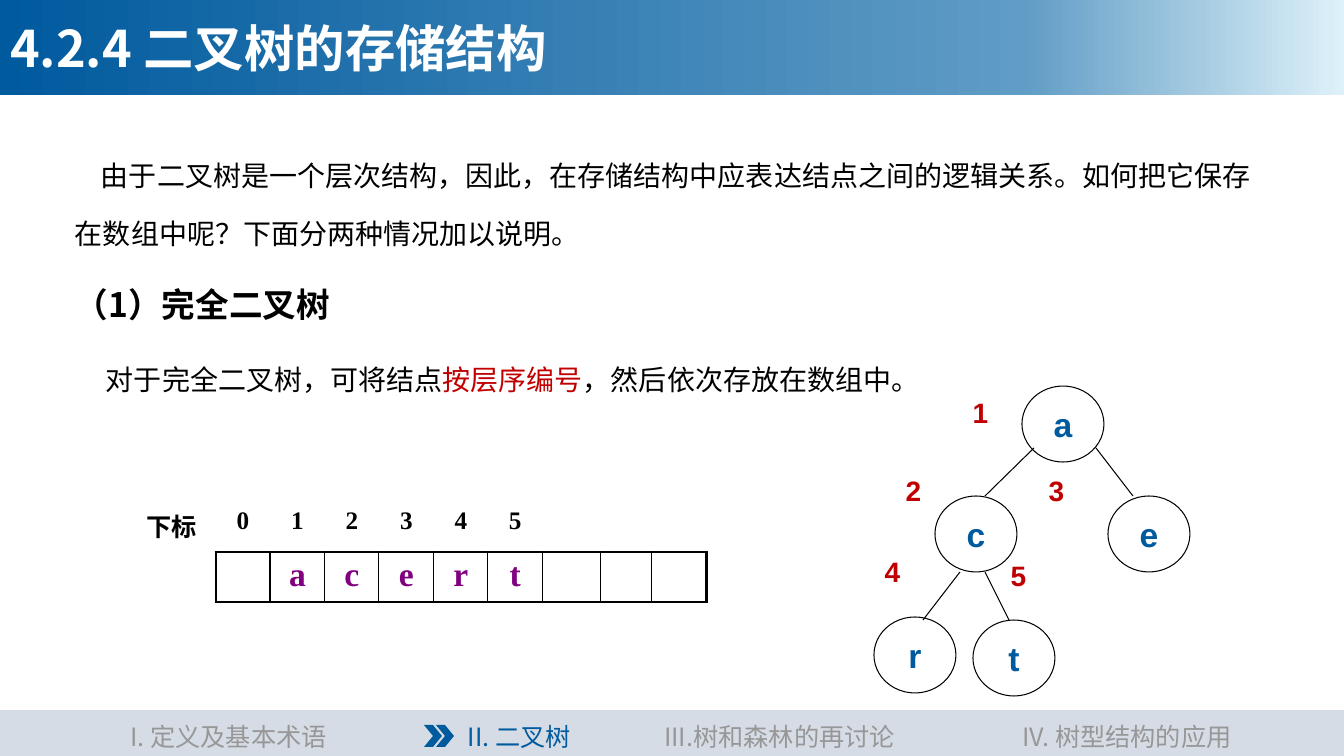
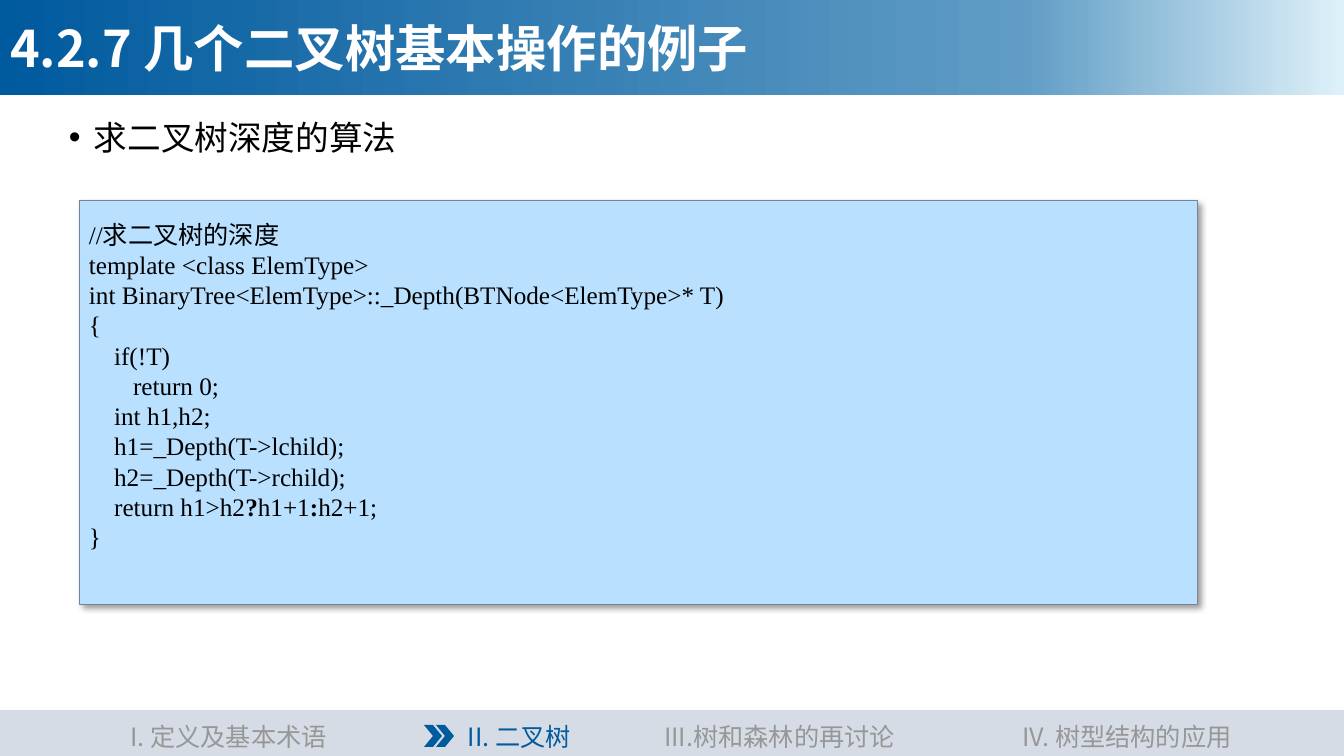
"""Build two lecture slides on binary tree storage and depth."""
from lxml import etree
from pptx import Presentation
from pptx import util as u
from pptx.dml import color
from pptx.enum import shapes, text
from pptx.oxml import ns

PX = 914400 / 100.8
WIDTH, HEIGHT = 1344, 756
SANS, SERIF, LATIN = "Noto Sans CJK SC", "Times New Roman", "Arial"
COLORS = {
    "blue": "005A9E", "mid": "609CC5", "pale": "DEF1F9", "white": "FFFFFF",
    "band": "D6DCE5", "grey": "979797", "black": "000000", "red": "C00000",
    "purple": "800080", "code": "B9E1FF", "edge": "778495",
}
SECTIONS = [
    ("I. 定义及基本术语", 43, 371),
    ("II. 二叉树", 407, 225),
    ("III.树和森林的再讨论", 633, 293),
    ("IV. 树型结构的应用", 1004, 246),
]
NODES = [
    ("a", 148, 0, 96, 9),
    ("c", 61, 110, 29, 87),
    ("e", 234, 110, 172, 87),
    ("r", 0, 231, 8, 168),
    ("t", 99, 234, 134, 172),
]
BRANCHES = [(160, 62, 111, 110), (222, 62, 259, 110),
            (86, 186, 49, 234), (111, 186, 135, 234)]
CODE = [
    "//求二叉树的深度",
    "template <class ElemType>",
    "int BinaryTree<ElemType>::_Depth(BTNode<ElemType>* T)",
    "{",
    "    if(!T)",
    "       return 0;",
    "    int h1,h2;",
    "    h1=_Depth(T->lchild);",
    "    h2=_Depth(T->rchild);",
    ["    return h1>h2", ("?", True), "h1+1", (":", True), "h2+1;"],
    "}",
]


def px(n):
    """Turn px into EMU."""
    return u.Emu(round(n * PX))


def rgb(name):
    """Return a named colour."""
    return color.RGBColor.from_string(COLORS[name])


def sub(parent, tag, **attrs):
    """Append a drawing element to a parent."""
    return etree.SubElement(parent, ns.qn(tag), attrs)


def style(p, size, ink, face=SANS, bold=False, align=None):
    """Format a whole paragraph."""
    p.alignment = align
    font = p.font
    font.size, font.bold, font.name = u.Pt(size), bold, face
    font.color.rgb = rgb(ink)
    latin = p._p.pPr.find(ns.qn("a:defRPr")).find(ns.qn("a:latin"))
    ea = etree.Element(ns.qn("a:ea"), typeface=SANS)
    latin.addnext(ea)


def set_frame(tf, wrap=True, insets=None, anchor=text.MSO_ANCHOR.TOP):
    """Set wrapping, insets in px and anchor of a text frame."""
    tf.word_wrap, tf.vertical_anchor = wrap, anchor
    tf.auto_size = text.MSO_AUTO_SIZE.NONE
    if insets:
        (tf.margin_left, tf.margin_top,
         tf.margin_right, tf.margin_bottom) = map(px, insets)


def add_text(s, box, insets=None, wrap=True):
    """Add a text box and return its text frame."""
    tf = s.shapes.add_textbox(*map(px, box)).text_frame
    set_frame(tf, wrap, insets)
    return tf


def add_label(s, box, label, *look, insets=None, wrap=True):
    """Add a text box holding one centred label."""
    p = add_text(s, box, insets, wrap).paragraphs[0]
    p.text = label
    style(p, *look, align=text.PP_ALIGN.CENTER)


def add_box(s, kind, box, fill=None, line=None, width=0.75):
    """Add a preset shape without a shadow."""
    sp = s.shapes.add_shape(kind, *map(px, box))
    sp.shadow.inherit = False
    if fill:
        sp.fill.solid()
        sp.fill.fore_color.rgb = rgb(fill)
    else:
        sp.fill.background()
    if line:
        sp.line.color.rgb, sp.line.width = rgb(line), u.Pt(width)
    else:
        sp.line.fill.background()
    return sp


def set_title(s, title):
    """Turn the title placeholder into the gradient band."""
    sp = s.shapes.title
    sp.left, sp.top, sp.width, sp.height = map(px, (0, 0, WIDTH, 95))
    sp.fill.gradient()
    sp.fill.gradient_angle = 0
    stops = sp._element.spPr.find(ns.qn("a:gradFill")).find(ns.qn("a:gsLst"))
    for stop in list(stops):
        stops.remove(stop)
    for pos, name in ((0, "blue"), (76, "mid"), (100, "pale")):
        stop = sub(stops, "a:gs", pos=str(pos * 1000))
        sub(stop, "a:srgbClr", val=COLORS[name])
    tf = sp.text_frame
    set_frame(tf, insets=(10, 5, 10, 5), anchor=text.MSO_ANCHOR.MIDDLE)
    tf.text = title
    style(tf.paragraphs[0], 36, "white", bold=True, align=text.PP_ALIGN.LEFT)


def add_footer(s, top, active):
    """Draw the section band and mark the active section."""
    add_box(s, shapes.MSO_SHAPE.RECTANGLE, (0, top, WIDTH, 46), "band")
    for i, (label, left, width) in enumerate(SECTIONS):
        ink = "blue" if i == active else "grey"
        add_label(s, (left, top + 6, width, 40), label, 18, ink)
    left = SECTIONS[active][1] + 17
    for x in (left + 12, left):
        add_box(s, shapes.MSO_SHAPE.CHEVRON, (x, top + 15, 18, 22), "blue")


def new_slide(prs, title):
    """Add a slide with the shared title and footer."""
    s = prs.slides.add_slide(prs.slide_layouts[5])
    set_title(s, title)
    add_footer(s, 710, 1)
    return s


def add_intro(s, box):
    """Write the explanation of array storage."""
    tf = add_text(s, box, (10, 0, 10, 0))
    paragraphs = [
        (["由于二叉树是一个层次结构，因此，在存储结构中应表达结点之间的逻辑关系。"
          "如何把它保存在数组中呢？下面分两种情况加以说明。"], 20, False, 26, 0),
        (["（1）完全二叉树"], 24, True, 0, 12),
        (["对于完全二叉树，可将结点", "按层序编号", "，然后依次存放在数组中。"],
         20, False, 31, 9.5),
    ]
    for i, (runs, size, bold, indent, before) in enumerate(paragraphs):
        p = tf.add_paragraph() if i else tf.paragraphs[0]
        p.line_spacing, p.space_before = u.Pt(41.4), u.Pt(before)
        p._p.get_or_add_pPr().set("indent", str(px(indent)))
        style(p, size, "black", bold=bold)
        for j, part in enumerate(runs):
            r = p.add_run()
            r.text = part
            if j == 1:
                r.font.color.rgb = rgb("red")


def add_tree(s, left, top):
    """Draw the numbered binary tree."""
    for x1, y1, x2, y2 in BRANCHES:
        line = s.shapes.add_connector(
            shapes.MSO_CONNECTOR.STRAIGHT,
            px(left + x1), px(top + y1), px(left + x2), px(top + y2))
        line.line.color.rgb, line.line.width = rgb("black"), u.Pt(0.75)
        sub(line._element.spPr, "a:effectLst")
    flat = (0, 0, 0, 0)
    for number, (name, x, y, nx, ny) in enumerate(NODES, 1):
        sp = add_box(s, shapes.MSO_SHAPE.OVAL,
                     (left + x, top + y, 82, 76), line="black")
        tf = sp.text_frame
        set_frame(tf, False, flat, text.MSO_ANCHOR.MIDDLE)
        tf.text = name
        style(tf.paragraphs[0], 24, "blue", LATIN, True, text.PP_ALIGN.CENTER)
        add_label(s, (left + nx, top + ny, 21, 34), str(number),
                  20, "red", LATIN, True, insets=flat)


def set_borders(cell, **widths):
    """Draw black cell borders of the given widths in points."""
    tcPr = cell._tc.get_or_add_tcPr()
    for i, side in enumerate(("L", "R", "T", "B")):
        width = widths.get(side, 0)
        ln = etree.Element(ns.qn("a:ln" + side), w=str(u.Pt(width)))
        if width:
            sub(sub(ln, "a:solidFill"), "a:srgbClr", val=COLORS["black"])
        else:
            sub(ln, "a:noFill")
        tcPr.insert(i, ln)


def add_array(s, left, top):
    """Draw the array with its index row."""
    widths = [88] + [54, 55] * 3 + [58, 51, 55]
    last = len(widths) - 1
    rows = [["下标", *"012345"], ["", "", *"acert"]]
    table = s.shapes.add_table(2, len(widths), px(left), px(top),
                               px(sum(widths)), px(100)).table
    table.first_row = table.horz_banding = False
    for c, width in enumerate(widths):
        table.columns[c].width = px(width)
        for r, (row, size, ink) in enumerate(
                zip(rows, (18, 24), ("black", "purple"))):
            cell = table.cell(r, c)
            cell.fill.background()
            if c < len(row) and row[c]:
                cell.text = row[c]
                style(cell.text_frame.paragraphs[0], size, ink, SERIF, True,
                      text.PP_ALIGN.CENTER)
            if c == 0:
                set_borders(cell, R=2.25 * r)
            elif r == 0:
                set_borders(cell, B=2.25)
            else:
                set_borders(cell, L=2.25 if c == 1 else 1,
                            R=2.25 if c == last else 1, T=2.25, B=2.25)


def add_bullet(s, box, label):
    """Write one bulleted heading."""
    p = add_text(s, box).paragraphs[0]
    p.text = label
    pPr = p._p.get_or_add_pPr()
    pPr.set("marL", str(px(25)))
    pPr.set("indent", str(px(-25)))
    sub(pPr, "a:buFont", typeface=LATIN)
    sub(pPr, "a:buChar", char="•")
    style(p, 24, "black")


def add_code(s, box):
    """Draw the shadowed code panel."""
    sp = add_box(s, shapes.MSO_SHAPE.RECTANGLE, box, "code", "edge", 0.25)
    effects = sp._element.spPr.find(ns.qn("a:effectLst"))
    shadow = sub(effects, "a:outerShdw", blurRad=str(u.Pt(4)),
                 dist=str(u.Pt(4)), dir="2700000", algn="tl", rotWithShape="0")
    black = sub(shadow, "a:srgbClr", val=COLORS["black"])
    sub(black, "a:alpha", val="40000")
    tf = sp.text_frame
    set_frame(tf, False, (10, 19, 10, 5))
    for i, line in enumerate(CODE):
        p = tf.add_paragraph() if i else tf.paragraphs[0]
        p.line_spacing = u.Pt(21.6)
        style(p, 18, "black", SERIF, align=text.PP_ALIGN.LEFT)
        for part in [line] if isinstance(line, str) else line:
            r = p.add_run()
            if isinstance(part, tuple):
                r.text, r.font.bold = part
            else:
                r.text = part


def main():
    """Build and save the presentation."""
    prs = Presentation()
    prs.slide_width, prs.slide_height = px(WIDTH), px(HEIGHT)

    s = new_slide(prs, "4.2.4 二叉树的存储结构")
    add_intro(s, (65, 134, 1198, 270))
    add_tree(s, 874, 386)
    add_array(s, 128, 502)

    s = new_slide(prs, "4.2.7 几个二叉树基本操作的例子")
    add_bullet(s, (59, 112, 1066, 60), "求二叉树深度的算法")
    add_code(s, (79, 200, 1118, 404))

    prs.save("out.pptx")


if __name__ == "__main__":
    main()
